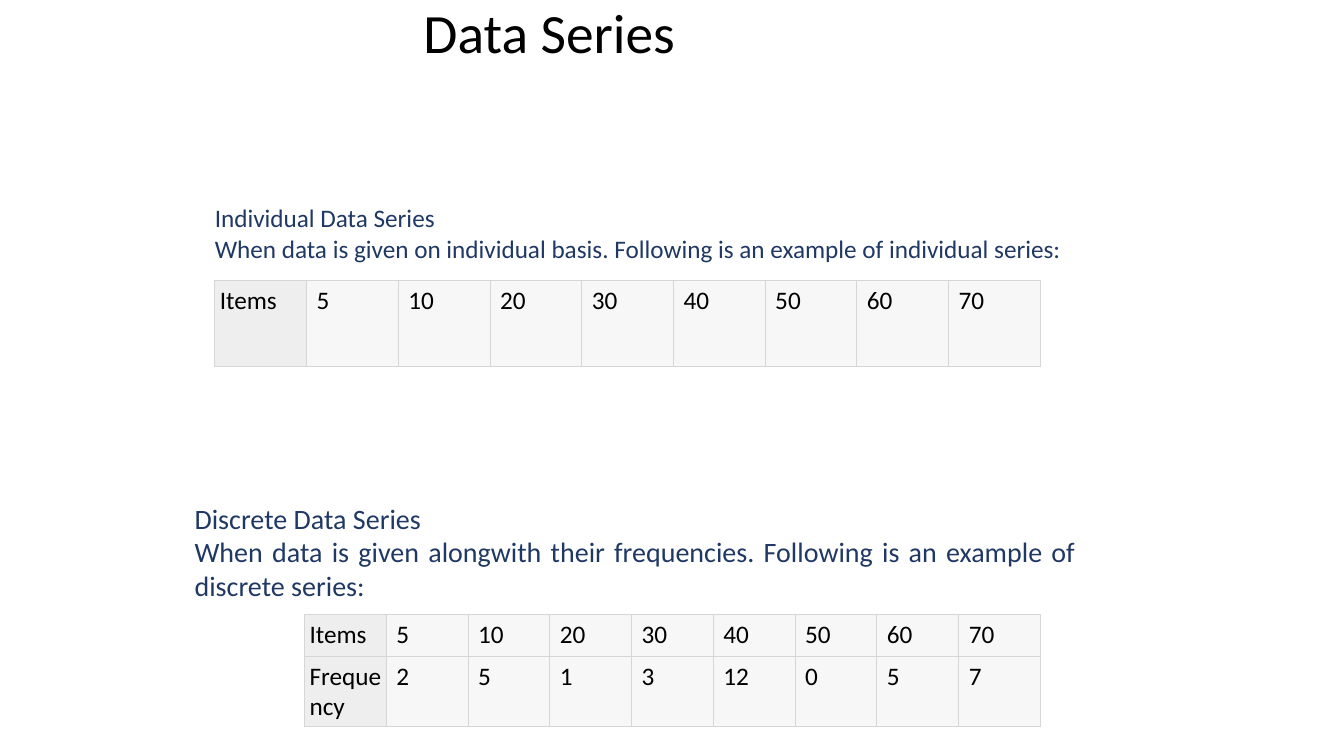
from lxml.etree import SubElement as Sub
from pptx import Presentation
from pptx.dml.color import RGBColor as RGB
from pptx.enum.text import PP_ALIGN as Align
from pptx.oxml.ns import qn
from pptx.util import Pt

PX = 9144
FONT = "Calibri"
INK = {"black": "000000", "navy": "203864", "head": "EEEEEE",
       "cell": "F7F7F7", "edge": "D6D6D6"}
ITEMS = ["Items", "5", "10", "20", "30", "40", "50", "60", "70"]
COUNTS = ["Frequency", "2", "5", "1", "3", "12", "0", "5", "7"]


def style(para, size, ink):
    for run in para.runs:
        run.font.name = FONT
        run.font.size = Pt(size)
        run.font.color.rgb = RGB.from_string(INK[ink])


def add_text(slide, box, lines, size, ink, align=Align.LEFT, space=1.0):
    frame = slide.shapes.add_textbox(*[n * PX for n in box]).text_frame
    frame.word_wrap = True
    frame.margin_left = frame.margin_right = 0
    frame.margin_top = frame.margin_bottom = 0
    frame.text = "\n".join(lines)
    for para in frame.paragraphs:
        para.alignment = align
        para.line_spacing = space
        style(para, size, ink)


def add_edges(cell):
    props = cell._tc.get_or_add_tcPr()
    for spot, side in enumerate(("a:lnL", "a:lnR", "a:lnT", "a:lnB")):
        line = props.makeelement(qn(side), {"w": str(Pt(0.75))})
        fill = Sub(line, qn("a:solidFill"))
        Sub(fill, qn("a:srgbClr"), val=INK["edge"])
        props.insert(spot, line)


def add_grid(slide, box, rows, highs):
    left, top, wide, high = [n * PX for n in box]
    count = len(rows[0])
    table = slide.shapes.add_table(len(rows), count, left, top, wide, high).table
    table.first_row = table.horz_banding = False
    for col in table.columns:
        col.width = wide // count
    for r, row in enumerate(rows):
        table.rows[r].height = highs[r] * PX
        for c, text in enumerate(row):
            cell = table.cell(r, c)
            cell.text = text
            style(cell.text_frame.paragraphs[0], 18, "black")
            cell.fill.solid()
            cell.fill.fore_color.rgb = RGB.from_string(INK["cell" if c else "head"])
            if c == 0:
                cell.margin_left = cell.margin_right = 5 * PX
            add_edges(cell)


def add_series(slide, text_box, lines, size, grid_box, rows, highs):
    add_text(slide, text_box, lines, size, "navy", Align.JUSTIFY)
    add_grid(slide, grid_box, rows, highs)


def main():
    deck = Presentation()
    deck.slide_width, deck.slide_height = 1333 * PX, 750 * PX
    slide = deck.slides.add_slide(deck.slide_layouts[6])
    add_text(slide, (420, 6, 300, 60), ["Data Series"], 39.6, "black", space=0.9)
    add_series(slide, (213, 201, 955, 61),
               ["Individual Data Series",
                "When data is given on individual basis. "
                "Following is an example of individual series:"],
               18, (213, 278, 819, 86), [ITEMS], [86])
    add_series(slide, (193, 497, 874, 102),
               ["Discrete Data Series",
                "When data is given alongwith their frequencies. "
                "Following is an example of discrete series:"],
               20, (302, 610, 730, 111), [ITEMS, COUNTS], [41, 70])
    deck.save("out.pptx")


if __name__ == "__main__":
    main()
